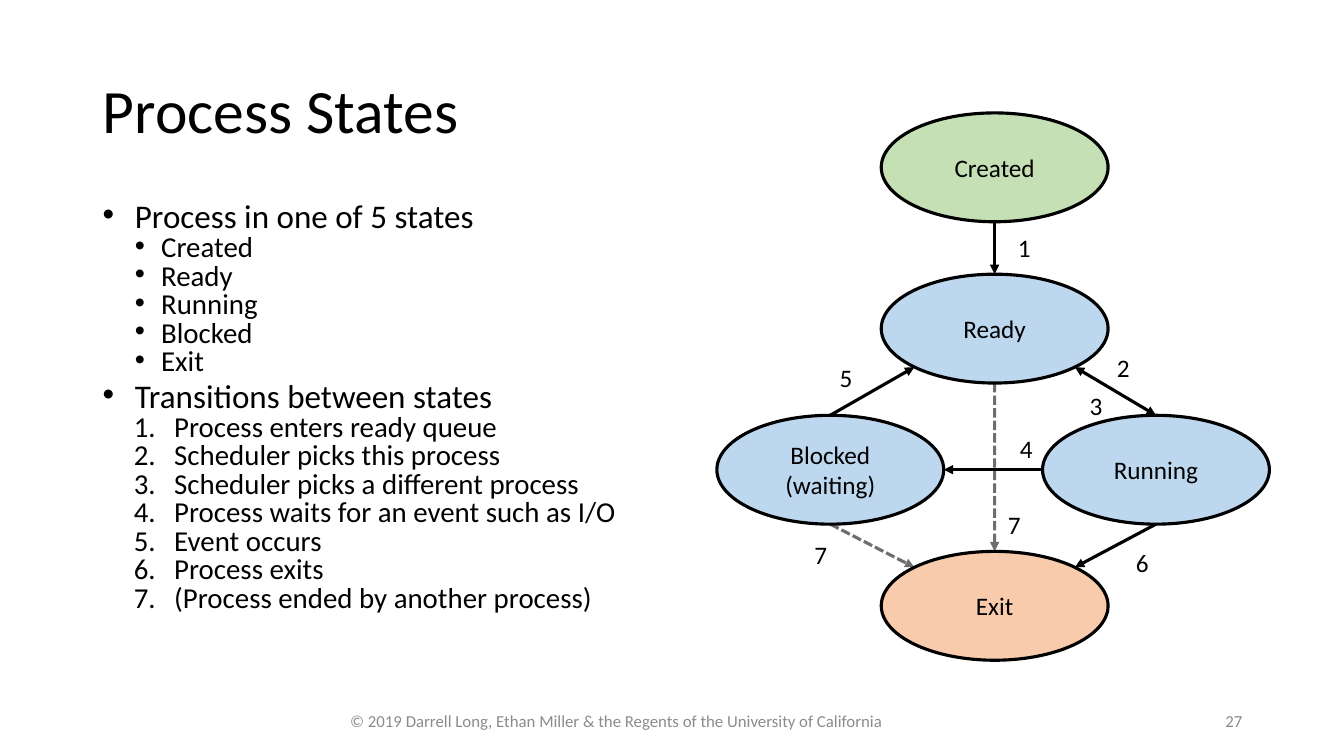
from math import sqrt

from lxml import etree
from pptx import Presentation
from pptx import util as u
from pptx.dml.color import RGBColor
from pptx.enum import dml, shapes, text
from pptx.oxml.ns import qn

FONT = "Calibri"
BLACK, GREY = "000000", "8B8B8B"
BLUE, GREEN, ORANGE = "BDD7EE", "C5E0B4", "F8CBAD"
LEFT, CENTER, RIGHT = text.PP_ALIGN.LEFT, text.PP_ALIGN.CENTER, text.PP_ALIGN.RIGHT
STATE_W, STATE_H = 2.25, 1.08

# name: (left, top, fill), relative to the diagram box
STATES = {
    "Ready": (1.63, 1.6, BLUE),
    "Blocked (waiting)": (0, 3, BLUE),
    "Running": (3.23, 3, BLUE),
    "Created": (1.63, 0, GREEN),
    "Exit": (1.63, 4.35, ORANGE),
}
# from state, side, to state, side, style
TRANSITIONS = [
    ("Created", "bottom", "Ready", "top", "solid"),
    ("Ready", "bottom right", "Running", "top", "both"),
    ("Running", "left", "Blocked (waiting)", "right", "solid"),
    ("Blocked (waiting)", "top", "Ready", "bottom left", "solid"),
    ("Running", "bottom", "Exit", "top right", "solid"),
    ("Ready", "bottom", "Exit", "top", "dashed"),
    ("Blocked (waiting)", "bottom", "Exit", "top left", "dashed"),
]
# label, left, top, relative to the diagram box
LABELS = [
    ("2", 3.73, 2.33), ("1", 2.75, 1.14), ("5", 0.98, 2.42), ("3", 3.46, 2.7),
    ("6", 3.92, 4.26), ("4", 2.77, 3.13), ("7", 2.65, 3.88), ("7", 0.73, 4.18),
]
OUTLINE = [
    ("Process in one of 5 states", "bullet",
     ["Created", "Ready", "Running", "Blocked", "Exit"]),
    ("Transitions between states", "number",
     ["Process enters ready queue", "Scheduler picks this process",
      "Scheduler picks a different process",
      "Process waits for an event such as I/O", "Event occurs",
      "Process exits", "(Process ended by another process)"]),
]


def rgb(color):
    return RGBColor.from_string(color)


def inches(*lengths):
    return [u.Inches(n) for n in lengths]


def add_run(p, words, size, color=BLACK):
    r = p.add_run()
    r.text = words
    r.font.name, r.font.size = FONT, u.Pt(size)
    r.font.color.rgb = rgb(color)


def add_text(s, box, words, size, color=BLACK, align=CENTER):
    tf = s.shapes.add_textbox(*inches(*box)).text_frame
    tf.word_wrap = True
    tf.vertical_anchor = text.MSO_ANCHOR.MIDDLE
    p = tf.paragraphs[0]
    p.alignment = align
    add_run(p, words, size, color)


def add_title(s, box, words):
    sp = s.shapes.title
    sp.left, sp.top, sp.width, sp.height = inches(*box)
    tf = sp.text_frame
    tf.vertical_anchor = text.MSO_ANCHOR.MIDDLE
    p = tf.paragraphs[0]
    p.alignment, p.line_spacing = LEFT, 0.9
    add_run(p, words, 44)


def set_list(p, kind, margin, hanging):
    pPr = p._p.get_or_add_pPr()
    pPr.set("marL", str(u.Inches(margin)))
    pPr.set("indent", str(-u.Inches(hanging)))
    if kind == "number":
        etree.SubElement(pPr, qn("a:buAutoNum"), type="arabicPeriod")
    else:
        etree.SubElement(pPr, qn("a:buFont"), typeface="Arial")
        etree.SubElement(pPr, qn("a:buChar"), char="•")


def add_outline(s, box):
    tf = s.shapes.add_textbox(*inches(*box)).text_frame
    tf.word_wrap = True
    for i, (heading, kind, items) in enumerate(OUTLINE):
        p = tf.add_paragraph() if i else tf.paragraphs[0]
        p.line_spacing, p.space_before = 0.7, u.Pt(7 if i else 0)
        set_list(p, "bullet", 0.32, 0.32)
        add_run(p, heading, 23.6)
        for item in items:
            p = tf.add_paragraph()
            p.level, p.line_spacing, p.space_before = 1, 0.7, u.Pt(3)
            set_list(p, kind, *((0.71, 0.4) if kind == "number" else (0.58, 0.26)))
            add_run(p, item, 20.6)


def add_state(s, left, top, name, fill):
    sp = s.shapes.add_shape(shapes.MSO_SHAPE.OVAL, *inches(left, top, STATE_W, STATE_H))
    sp.shadow.inherit = False
    sp.fill.solid()
    sp.fill.fore_color.rgb = rgb(fill)
    sp.line.color.rgb = rgb(BLACK)
    sp.line.width = u.Pt(2.25)
    tf = sp.text_frame
    tf.word_wrap = True
    tf.vertical_anchor = text.MSO_ANCHOR.MIDDLE
    p = tf.paragraphs[0]
    p.alignment = CENTER
    add_run(p, name, 18)


def rim_point(left, top, side):
    """Point of a state's ellipse on a side, or at 45 degrees between two sides."""
    dx = ("right" in side) - ("left" in side)
    dy = ("bottom" in side) - ("top" in side)
    reach = sqrt(dx * dx + dy * dy)
    return (left + STATE_W / 2 * (1 + dx / reach), top + STATE_H / 2 * (1 + dy / reach))


def add_arrow(s, start, end, style):
    cxn = s.shapes.add_connector(shapes.MSO_CONNECTOR.STRAIGHT, *inches(*start, *end))
    cxn.line.color.rgb = rgb(BLACK)
    cxn.line.width = u.Pt(2.25)
    ln = cxn.line._get_or_add_ln()
    if style == "dashed":
        cxn.line.dash_style = dml.MSO_LINE.SQUARE_DOT
        ln.find(qn("a:prstDash")).set("val", "sysDash")
        color = ln.find(qn("a:solidFill")).find(qn("a:srgbClr"))
        etree.SubElement(color, qn("a:alpha"), val="56000")
    if style == "both":
        etree.SubElement(ln, qn("a:headEnd"), type="triangle")
    etree.SubElement(ln, qn("a:tailEnd"), type="triangle")
    etree.SubElement(cxn._element.spPr, qn("a:effectLst"))


def add_diagram(s, left, top):
    for name, (x, y, fill) in STATES.items():
        add_state(s, left + x, top + y, name, fill)
    for source, out_side, target, in_side, style in TRANSITIONS:
        start, end = [rim_point(left + STATES[name][0], top + STATES[name][1], side)
                      for name, side in ((source, out_side), (target, in_side))]
        add_arrow(s, start, end, style)
    for label, x, y in LABELS:
        add_text(s, (left + x, top + y, 0.6, 0.4), label, 18)


def add_footer(s, top):
    add_text(s, (3.31, top, 5.61, 0.4),
             "© 2019 Darrell Long, Ethan Miller & the Regents of the University of California",
             12, GREY)
    add_text(s, (9.42, top, 3, 0.4), "27", 12, GREY, RIGHT)


def main():
    prs = Presentation()
    prs.slide_width, prs.slide_height = inches(13.33, 7.5)
    s = prs.slides.add_slide(prs.slide_layouts[5])
    add_title(s, (0.92, 0.4, 11.5, 1.45), "Process States")
    add_outline(s, (0.92, 2, 5.67, 4.76))
    add_footer(s, 6.95)
    add_diagram(s, 7.11, 1.12)
    prs.save("out.pptx")


if __name__ == "__main__":
    main()
